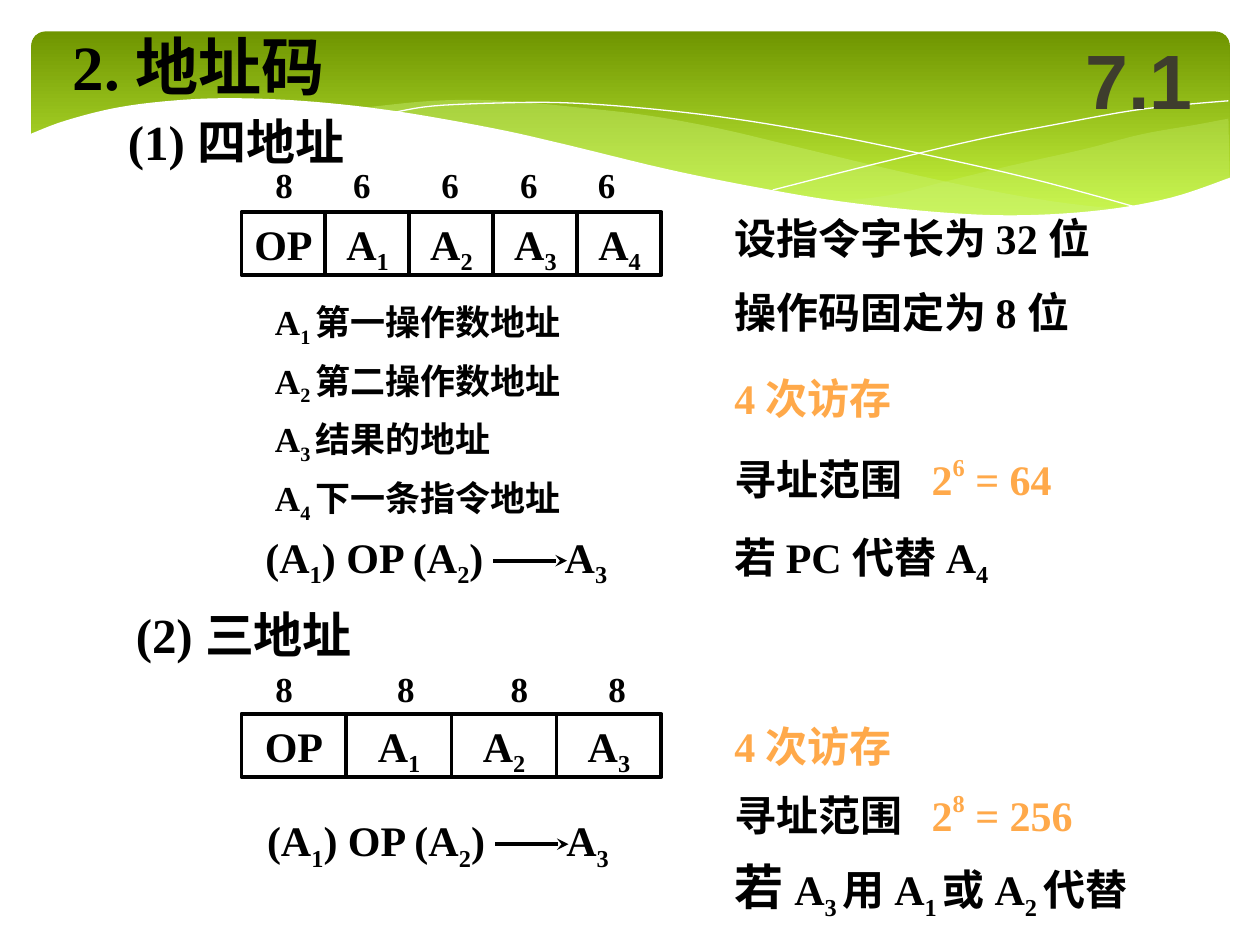
"""Builds a slide on four-address and three-address instruction formats."""
from dataclasses import dataclass

import pptx
import pptx.dml.color
import pptx.enum.shapes
import pptx.enum.text
import pptx.oxml
import pptx.oxml.ns
import pptx.util

Point = tuple[float, float]
GRID_COLUMNS = 120
CURVE_STEPS = 6


@dataclass(frozen=True)
class Theme:
    ink: str = "000000"
    accent: str = "FFA94A"
    number: str = "3E3D2D"
    white: str = "FFFFFF"
    veil: str = "CAF278"
    band_top: str = "6F9500"
    band_bottom: str = "D0FF44"
    serif: str = "Times New Roman"
    sans: str = "Arial"
    title: int = 36
    heading: int = 28
    body: int = 24
    small: int = 20
    section: int = 44
    stroke: float = 2.24


@dataclass(frozen=True)
class Label:
    """Text in a box on the grid; segments are split by | and marked _ ^ * or +."""
    markup: str
    left: float
    top: float
    width: float
    height: float
    size: int
    color: str = Theme.ink
    font: str = Theme.serif
    tabs: tuple[float, ...] = ()
    spacing: float | None = None
    centered: bool = False


@dataclass(frozen=True)
class Format:
    """An instruction format: field widths above a row of cells, and its operation."""
    fields: tuple[str, ...]
    bits: str
    bit_tabs: tuple[float, ...]
    top: float
    bits_top: float
    operation_left: float
    operation_top: float


@dataclass(frozen=True)
class Wave:
    """Smooth edges joined into one outline, either filled or drawn as a thread."""
    edges: tuple[tuple[Point, ...], ...]
    color: str = Theme.white
    opacity: int = 100
    filled: bool = True


THEME = Theme()
RIGHT = 68.75
CELLS_LEFT, CELLS_WIDTH, CELL_HEIGHT = 23, 40, 6

WAVES = (
    Wave((((117, 11.3), (113.8, 11.9), (108.7, 12.8), (103.3, 14.2), (96.6, 15.7), (90.4, 17.2),
           (84.7, 18.6), (79.3, 19.2)),
          ((79.3, 19.2), (86.2, 20), (92.3, 20.5), (97.7, 20.6), (103.6, 20.4), (108.6, 19.6),
           (113, 18.7), (117.1, 16.9))), THEME.veil, 29),
    Wave((((107.2, 20), (100.4, 19.2), (93, 17.9), (84.7, 16.1), (75.5, 13.9), (68.3, 12.2),
           (61.7, 11), (55.7, 10.3), (47.9, 9.6), (41.3, 9.6), (34.3, 10.3)),
          ((34.3, 10.3), (41, 11.3), (48.5, 12.7), (58.9, 15.1), (67.9, 17.2), (76.1, 18.7),
           (83.4, 19.6), (91.3, 20.4), (98.2, 20.8), (104, 20.4), (107.2, 20))), THEME.veil, 40),
    Wave((((37.1, 10.8), (41.2, 10.1), (48.1, 9.8), (54, 9.8), (61.2, 10.3), (69.8, 11.3),
           (79.8, 13), (91.2, 15.4), (99.7, 17.4), (108.8, 19.9)),), filled=False),
    Wave((((73.6, 18.1), (83.4, 15.6), (93.1, 13.3), (100.3, 11.9), (107.4, 10.6), (112.4, 10),
           (117, 9.6)),), filled=False),
    Wave((((2.8, 12.8), (6.2, 11.5), (11.4, 10.2), (17.5, 9.5), (23.2, 9.36), (30, 9.7),
           (37.8, 10.6), (46.9, 12.2), (53.6, 13.7), (63.5, 16.1), (72.4, 17.9), (80.2, 19.2),
           (89.3, 20.2), (97.1, 20.5), (105, 20), (111.6, 18.8), (117.2, 16.9)),
          ((117.2, 26.9), (2.8, 26.9)))),
)

FORMATS = (
    Format(("OP", "A|_1", "A|_2", "A|_3", "A|_4"), "8\t6\t6\t6\t6",
           (7.4, 15.8, 23.3, 30.7), 20.2, 15, 24.1, 50),
    Format(("OP", "A|_1", "A|_2", "A|_3"), "8\t8\t8\t8",
           (11.6, 22.4, 31.7), 68, 63, 24.25, 77),
)

OPERANDS = ("第一操作数地址", "第二操作数地址", "结果的地址", "下一条指令地址")

LABELS = (
    Label("2. 地址码", 5.75, 2, 36.25, 8.4, THEME.title),
    Label("(1) 四地址", 11, 10, 63, 6.85, THEME.heading),
    Label("(2) 三地址", 11.75, 57, 66.25, 6.85, THEME.heading),
    Label("7.1", 101, 2, 15, 11, THEME.section, THEME.number, THEME.sans, centered=True),
    Label("设指令字长为 32 位", RIGHT, 20.2, 44.25, 5.5, THEME.body, spacing=0.9),
    Label("操作码固定为 8 位", RIGHT, 27.2, 44.25, 5.5, THEME.body, spacing=0.9),
    Label("4 次访存", RIGHT, 34.9, 31.25, 6, THEME.body, THEME.accent),
    Label("寻址范围\t|*2|^6|* = 64", RIGHT, 42.5, 42.25, 6.1, THEME.body, tabs=(18.8,)),
    Label("若 PC 代替 A|_4", RIGHT, 50, 36.25, 6.7, THEME.body),
    Label("4 次访存", RIGHT, 68, 29.25, 6, THEME.body, THEME.accent),
    Label("寻址范围\t|*2|^8|* = 256", RIGHT, 74.5, 41.25, 6.1, THEME.body, tabs=(18.8,)),
    Label("+若 |A|_3 |用 A|_1 |或 A|_2 |代替", RIGHT, 81, 46, 7.3, THEME.body),
)


def grid(units: float) -> int:
    """Convert grid columns or rows to a length."""
    return pptx.util.Inches(units * 10 / GRID_COLUMNS)


def rgb(color: str) -> pptx.dml.color.RGBColor:
    return pptx.dml.color.RGBColor.from_string(color)


def add_xml(parent, tag: str, **attributes: str):
    child = pptx.oxml.ns.qn(tag)
    element = parent.makeelement(child, attributes)
    parent.append(element)
    return element


def smooth_edge(points: tuple[Point, ...]) -> list[Point]:
    """Sample a Catmull-Rom curve through the points."""
    padded = (points[0], *points, points[-1])
    sampled = [points[0]]
    for a, b, c, d in zip(padded, padded[1:], padded[2:], padded[3:]):
        for step in range(1, CURVE_STEPS + 1):
            t = step / CURVE_STEPS
            sampled.append(tuple(
                (2 * q + (r - p) * t + (2 * p - 5 * q + 4 * r - s) * t ** 2
                 + (3 * q - p - 3 * r + s) * t ** 3) / 2
                for p, q, r, s in zip(a, b, c, d)))
    return sampled


def draw_band(slide) -> None:
    band = slide.shapes.add_shape(pptx.enum.shapes.MSO_SHAPE.ROUNDED_RECTANGLE,
                                  grid(3), grid(3), grid(114.1), grid(18.7))
    band.adjustments[0] = 0.071
    band.shadow.inherit = False
    band.line.fill.background()
    band.fill.gradient()
    band.fill.gradient_angle = 270
    for stop, color in zip(band.fill.gradient_stops, (THEME.band_top, THEME.band_bottom)):
        stop.color.rgb = rgb(color)


def draw_wave(slide, wave: Wave) -> None:
    points = [(grid(x), grid(y)) for edge in wave.edges
              for x, y in (smooth_edge(edge) if len(edge) > 2 else edge)]
    builder = slide.shapes.build_freeform(*points[0])
    builder.add_line_segments(points[1:], close=wave.filled)
    shape = builder.convert_to_shape()
    shape.shadow.inherit = False
    if not wave.filled:
        shape.fill.background()
        shape.line.color.rgb = rgb(wave.color)
        shape.line.width = pptx.util.Pt(0)
        return
    shape.line.fill.background()
    shape.fill.solid()
    shape.fill.fore_color.rgb = rgb(wave.color)
    if wave.opacity < 100:
        color = shape._element.spPr.find(".//" + pptx.oxml.ns.qn("a:srgbClr"))
        add_xml(color, "a:alpha", val=str(wave.opacity * 1000))


def write_text(shape, label: Label) -> None:
    frame = shape.text_frame
    frame.word_wrap = True
    anchors = pptx.enum.text.MSO_ANCHOR
    frame.vertical_anchor = anchors.MIDDLE if label.font == THEME.sans else anchors.TOP
    paragraph = frame.paragraphs[0]
    alignments = pptx.enum.text.PP_ALIGN
    paragraph.alignment = alignments.CENTER if label.centered else alignments.LEFT
    if label.tabs:
        stops = add_xml(paragraph._p.get_or_add_pPr(), "a:tabLst")
        for tab in label.tabs:
            add_xml(stops, "a:tab", pos=str(grid(tab)), algn="l")
    if label.spacing:
        paragraph.line_spacing = label.spacing
    paragraph.font.name = label.font
    paragraph.font.size = pptx.util.Pt(label.size)
    paragraph.font.bold = True
    paragraph.font.color.rgb = rgb(label.color)
    for segment in label.markup.split("|"):
        mark = segment[0] if segment[0] in "_^*+" else ""
        run = paragraph.add_run()
        run.text = segment[len(mark):]
        if mark in ("_", "^"):
            run._r.get_or_add_rPr().set("baseline", "-25000" if mark == "_" else "45000")
        if mark in ("^", "*"):
            run.font.color.rgb = rgb(THEME.accent)
        if mark == "+":
            run.font.size = pptx.util.Pt(THEME.heading)


def draw_label(slide, label: Label) -> None:
    box = slide.shapes.add_textbox(*map(grid, (label.left, label.top, label.width, label.height)))
    write_text(box, label)


def draw_arrow(slide, left: float, top: float, length: float) -> None:
    arrow = slide.shapes.add_connector(pptx.enum.shapes.MSO_CONNECTOR.STRAIGHT, grid(left),
                                       grid(top), grid(left + length), grid(top))
    arrow.line.color.rgb = rgb(THEME.ink)
    arrow.line.width = pptx.util.Pt(THEME.stroke)
    add_xml(arrow.line._get_or_add_ln(), "a:tailEnd", type="stealth")
    add_xml(arrow._element.spPr, "a:effectLst")


def draw_format(slide, layout: Format) -> None:
    width = CELLS_WIDTH / len(layout.fields)
    for index, field in enumerate(layout.fields):
        label = Label(field, CELLS_LEFT + index * width, layout.top, width, CELL_HEIGHT,
                      THEME.body, centered=True)
        cell = slide.shapes.add_shape(pptx.enum.shapes.MSO_SHAPE.RECTANGLE, *map(
            grid, (label.left, label.top, label.width, label.height)))
        cell.shadow.inherit = False
        cell.fill.background()
        cell.line.color.rgb = rgb(THEME.ink)
        cell.line.width = pptx.util.Pt(THEME.stroke)
        write_text(cell, label)
    draw_label(slide, Label(layout.bits, 25.05, layout.bits_top, 38, 5.25, THEME.small,
                            tabs=layout.bit_tabs))
    draw_label(slide, Label("(A|_1|) OP (A|_2|)\tA|_3", layout.operation_left,
                            layout.operation_top, 35.4, 6.7, THEME.body, tabs=(28.5,)))
    draw_arrow(slide, layout.operation_left + 22.9, layout.operation_top + 3.4, 7)


def main() -> None:
    presentation = pptx.Presentation()
    presentation.slide_width = grid(120)
    presentation.slide_height = grid(90)
    slide = presentation.slides.add_slide(presentation.slide_layouts[6])
    draw_band(slide)
    for wave in WAVES:
        draw_wave(slide, wave)
    for label in LABELS:
        draw_label(slide, label)
    for layout in FORMATS:
        draw_format(slide, layout)
    for index, meaning in enumerate(OPERANDS):
        draw_label(slide, Label(f"A|_{index + 1} |{meaning}", 25, 28 + 5.6 * index, 38, 5.75,
                                THEME.small))
    presentation.save("out.pptx")


main()
